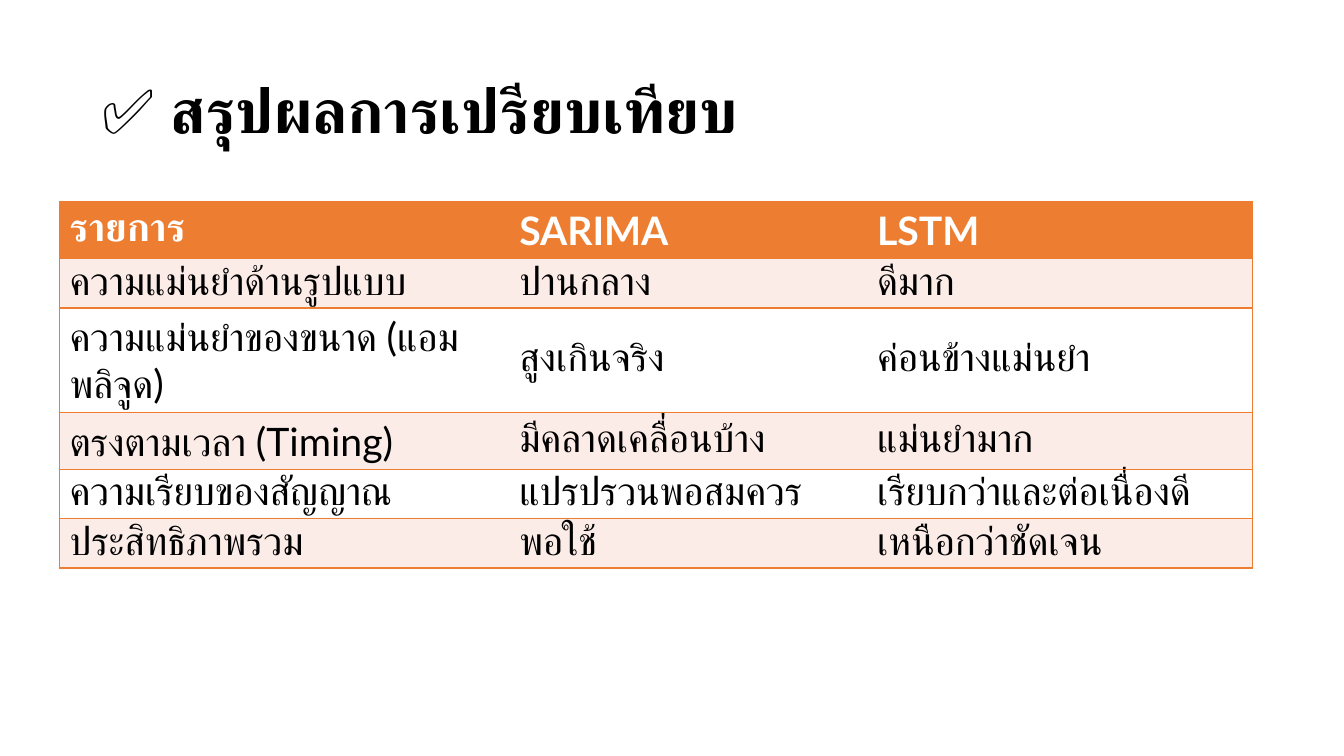
from lxml.etree import SubElement
from pptx import Presentation
from pptx.dml.color import RGBColor
from pptx.enum.text import MSO_ANCHOR, PP_ALIGN
from pptx.oxml.ns import qn
from pptx.util import Inches, Pt

FONT = "Lato"
ORANGE, PINK, WHITE, BLACK = "ED7D31", "FCECE8", "FFFFFF", "000000"
COLUMN_WIDTHS = [4.46, 3.55, 3.82]
ROW_HEIGHT = 0.41
COMPARISON = [
    ["รายการ", "SARIMA", "LSTM"],
    ["ความแม่นยำด้านรูปแบบ", "ปานกลาง", "ดีมาก"],
    ["ความแม่นยำของขนาด (แอมพลิจูด)", "สูงเกินจริง", "ค่อนข้างแม่นยำ"],
    ["ตรงตามเวลา (Timing)", "มีคลาดเคลื่อนบ้าง", "แม่นยำมาก"],
    ["ความเรียบของสัญญาณ", "แปรปรวนพอสมควร", "เรียบกว่าและต่อเนื่องดี"],
    ["ประสิทธิภาพรวม", "พอใช้", "เหนือกว่าชัดเจน"],
]


def color(value):
    return RGBColor.from_string(value)


def add_span(para, text, size, text_color, bold):
    span = para.add_run()
    span.text = text
    span.font.color.rgb = color(text_color)
    for name, value in {"name": FONT, "size": Pt(size), "bold": bold}.items():
        setattr(span.font, name, value)


def set_borders(cell, sides):
    """Draw the given sides (of L, R, T, B) in orange and hide the others."""
    properties = cell._tc.get_or_add_tcPr()
    for side in "LRTB":
        line = SubElement(properties, qn(f"a:ln{side}"), w=str(Pt(1)))
        if side in sides:
            fill = SubElement(line, qn("a:solidFill"))
            SubElement(fill, qn("a:srgbClr"), val=ORANGE)
        else:
            SubElement(line, qn("a:noFill"))


def fill_title(page, left, top, width, height):
    title = page.shapes.title
    bounds = {"left": left, "top": top, "width": width, "height": height}
    for name, value in bounds.items():
        setattr(title, name, Inches(value))
    title.text_frame.vertical_anchor = MSO_ANCHOR.MIDDLE
    title.text_frame.word_wrap = True
    para = title.text_frame.paragraphs[0]
    para.alignment = PP_ALIGN.LEFT
    para.line_spacing = 0.9
    add_span(para, "✅ ", 44, BLACK, False)
    add_span(para, "สรุปผลการเปรียบเทียบ", 44, BLACK, True)


def add_comparison_table(page, left, top):
    width, height = sum(COLUMN_WIDTHS), ROW_HEIGHT * len(COMPARISON)
    table = page.shapes.add_table(
        len(COMPARISON), len(COLUMN_WIDTHS),
        Inches(left), Inches(top), Inches(width), Inches(height)).table
    table.horz_banding = False
    for column, column_width in zip(table.columns, COLUMN_WIDTHS):
        column.width = Inches(column_width)
    last = len(COLUMN_WIDTHS) - 1
    for row_index, texts in enumerate(COMPARISON):
        table.rows[row_index].height = Inches(ROW_HEIGHT)
        header = row_index == 0
        background = ORANGE if header else PINK if row_index % 2 else WHITE
        for column_index, text in enumerate(texts):
            cell = table.cell(row_index, column_index)
            cell.vertical_anchor = MSO_ANCHOR.MIDDLE
            outer = {0: "L", last: "R"}.get(column_index, "")
            set_borders(cell, "TB" + outer)
            cell.fill.solid()
            cell.fill.fore_color.rgb = color(background)
            add_span(cell.text_frame.paragraphs[0], text, 28,
                     WHITE if header else BLACK, header)


def main():
    deck = Presentation()
    deck.slide_width, deck.slide_height = Inches(13.33), Inches(7.5)
    page = deck.slides.add_slide(deck.slide_layouts.get_by_name("Title Only"))
    fill_title(page, 0.92, 0.4, 11.5, 1.45)
    add_comparison_table(page, 0.59, 2)
    deck.save("out.pptx")


if __name__ == "__main__":
    main()
